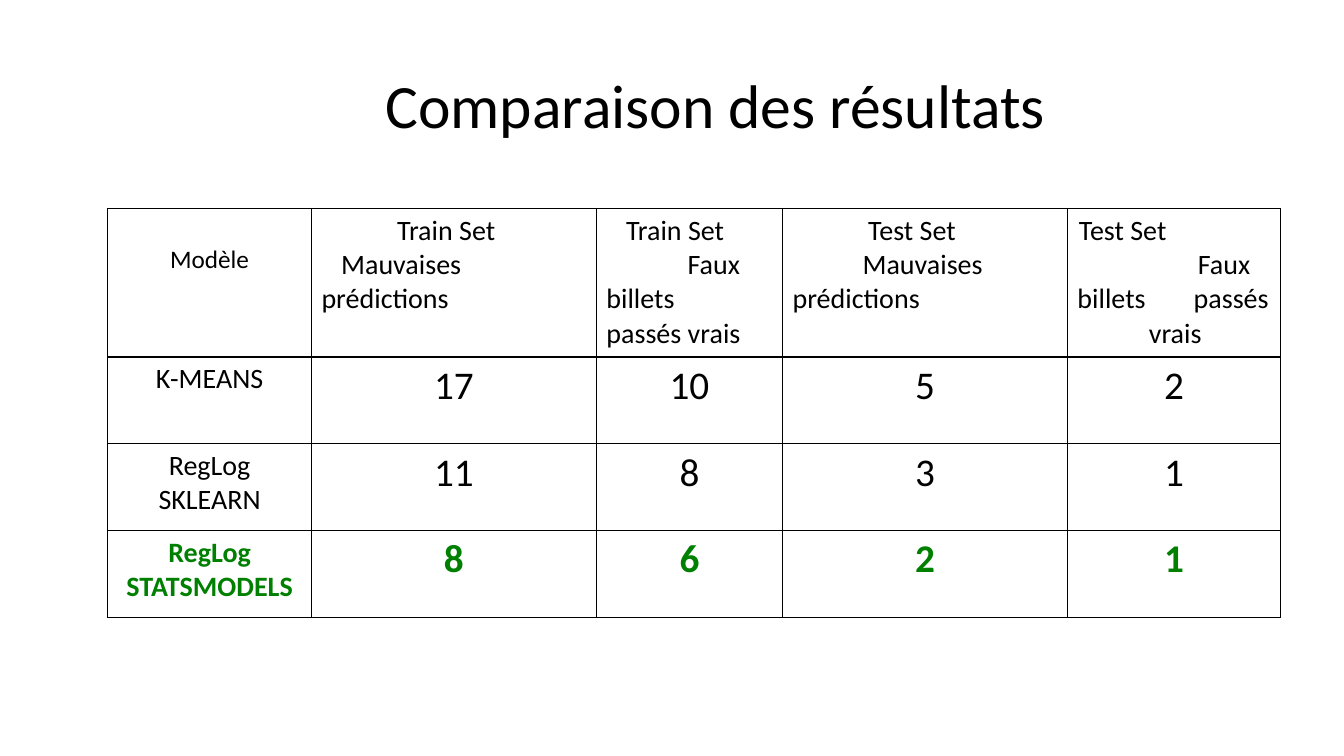
from lxml import etree
from pptx import Presentation
from pptx.dml.color import RGBColor
from pptx.enum.text import MSO_ANCHOR, PP_ALIGN
from pptx.oxml.ns import qn
from pptx.util import Pt

CENTER, LEFT = PP_ALIGN.CENTER, PP_ALIGN.LEFT
MIDDLE = MSO_ANCHOR.MIDDLE
COLORS = {"text": "000000", "best": "008000", "border": "000000"}
FONT = "Calibri"
COLUMN_WIDTHS = [145.5, 203.5, 133, 203.5, 152.5]
ROW_HEIGHTS = [106, 62, 62, 62]
TAB_STOP = 83

# Each header line is a text with its left indent in points
HEADERS = [
    [("Train Set", 54), ("Mauvaises", 14), ("prédictions", 0)],
    [("Train Set", 14), ("Faux", 58), ("billets", 0), ("passés vrais", 0)],
    [("Test Set", 54), ("Mauvaises", 50), ("prédictions", 0)],
    [("Test Set", 1), ("Faux", 86), ("billets\tpassés", 0), ("vrais", 51)],
]
RESULTS = [
    ["K-MEANS", "17", "10", "5", "2"],
    ["RegLog SKLEARN", "11", "8", "3", "1"],
    ["RegLog STATSMODELS", "8", "6", "2", "1"],
]


def write(paragraph, text, size, align=CENTER, color="text", bold=False):
    paragraph.text = text
    paragraph.alignment = align
    font = paragraph.font
    font.name, font.size, font.bold = FONT, Pt(size), bold
    font.color.rgb = RGBColor.from_string(COLORS[color])


def add_borders(cell):
    properties = cell._tc.get_or_add_tcPr()
    for side in ("a:lnL", "a:lnR", "a:lnT", "a:lnB"):
        line = etree.SubElement(properties, qn(side), w=str(Pt(1)))
        fill = etree.SubElement(line, qn("a:solidFill"))
        etree.SubElement(fill, qn("a:srgbClr"), val=COLORS["border"])


deck = Presentation()
deck.slide_width, deck.slide_height = Pt(960), Pt(540)
page = deck.slides.add_slide(deck.slide_layouts[6])

title = page.shapes.add_textbox(Pt(129.6), Pt(25.2), Pt(763.2), Pt(104.4))
title.text_frame.word_wrap = True
title.text_frame.vertical_anchor = MIDDLE
write(title.text_frame.paragraphs[0], "Comparaison des résultats", 44)
title.text_frame.paragraphs[0].line_spacing = 0.9

table = page.shapes.add_table(
    len(ROW_HEIGHTS), len(COLUMN_WIDTHS), Pt(77), Pt(149),
    Pt(sum(COLUMN_WIDTHS)), Pt(sum(ROW_HEIGHTS))).table
table.first_row = table.horz_banding = False
for column, width in zip(table.columns, COLUMN_WIDTHS):
    column.width = Pt(width)
for row, height in zip(table.rows, ROW_HEIGHTS):
    row.height = Pt(height)
for cell in table.iter_cells():
    add_borders(cell)
    cell.fill.background()

model_header = table.cell(0, 0)
model_header.margin_top = Pt(25.6)
write(model_header.text_frame.paragraphs[0], "Modèle", 18)

for column_index, lines in enumerate(HEADERS, start=1):
    frame = table.cell(0, column_index).text_frame
    for line_index, (text, indent) in enumerate(lines):
        paragraph = frame.add_paragraph() if line_index else frame.paragraphs[0]
        write(paragraph, text, 20, LEFT)
        properties = paragraph._p.get_or_add_pPr()
        properties.set("marL", str(Pt(indent)))
        if "\t" in text:
            stops = etree.Element(qn("a:tabLst"))
            etree.SubElement(stops, qn("a:tab"), pos=str(Pt(TAB_STOP)), algn="l")
            properties.find(qn("a:defRPr")).addprevious(stops)

for row_index, values in enumerate(RESULTS, start=1):
    is_best = row_index == len(RESULTS)
    for column_index, value in enumerate(values):
        write(table.cell(row_index, column_index).text_frame.paragraphs[0], value,
              28 if column_index else 20,
              color="best" if is_best else "text", bold=is_best)

deck.save("out.pptx")
